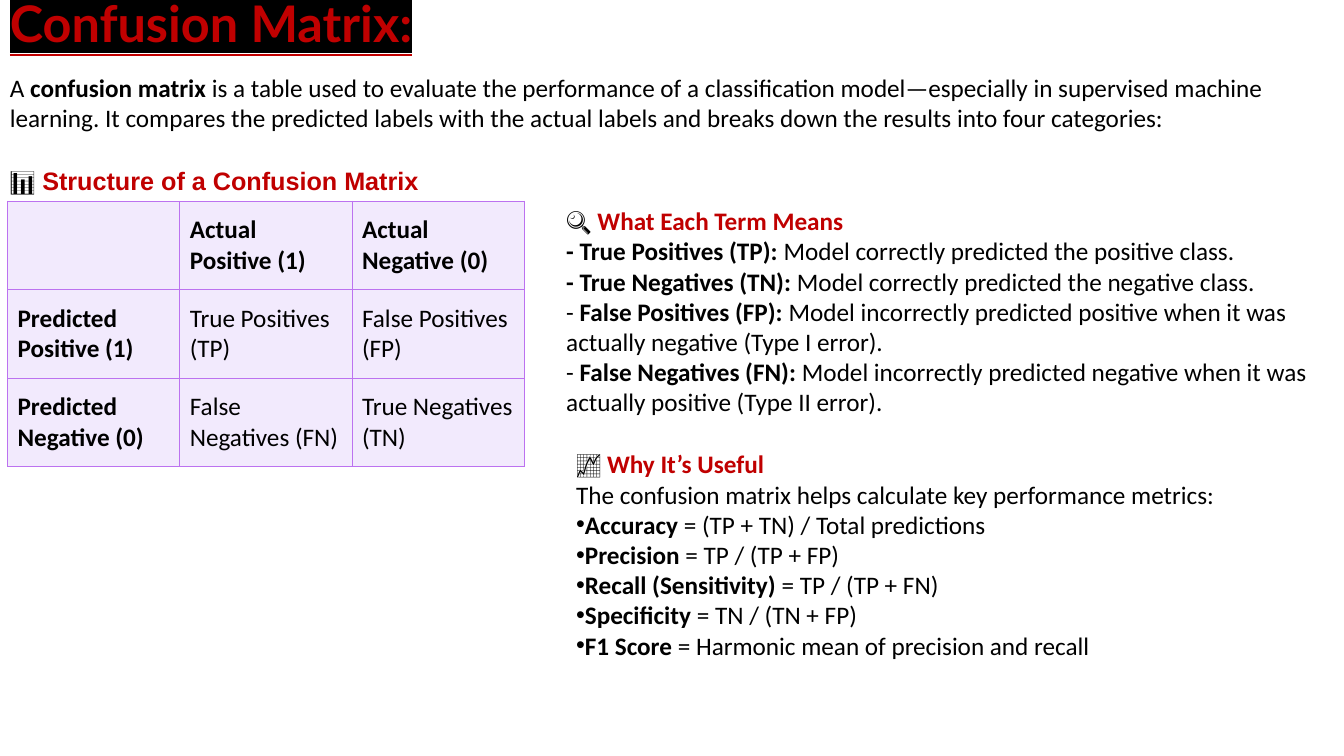
from lxml import etree
from pptx import Presentation
from pptx import util as u
from pptx.dml.color import RGBColor
from pptx.enum import text
from pptx.oxml import ns

BLACK = RGBColor(0x00, 0x00, 0x00)
RED = RGBColor(0xC0, 0x00, 0x00)
LILAC = RGBColor(0xF2, 0xEA, 0xFD)
PURPLE = RGBColor(0xBC, 0x72, 0xF0)

BODY = {"name": "Calibri", "size": u.Pt(18), "bold": False}
BOLD = {"bold": True}
HEADING = {"bold": True, "color": RED}

INTRO = [
    ("A ", {}),
    ("confusion matrix", BOLD),
    (" is a table used to evaluate the performance of a classification model—especially in "
     "supervised machine learning. It compares the predicted labels with the actual labels "
     "and breaks down the results into four categories:", {}),
]
MATRIX = [
    ["", "Actual Positive (1)", "Actual Negative (0)"],
    ["Predicted Positive (1)", "True Positives (TP)", "False Positives (FP)"],
    ["Predicted Negative (0)", "False Negatives (FN)", "True Negatives (TN)"],
]
TERMS = [
    ("True Positives (TP): ", "Model correctly predicted the positive class.", BOLD),
    ("True Negatives (TN): ", "Model correctly predicted the negative class.", BOLD),
    ("False Positives (FP): ",
     "Model incorrectly predicted positive when it was actually negative (Type I error).", {}),
    ("False Negatives (FN): ",
     "Model incorrectly predicted negative when it was actually positive (Type II error).", {}),
]
METRICS = [
    ("Accuracy", "(TP + TN) / Total predictions"),
    ("Precision", "TP / (TP + FP)"),
    ("Recall (Sensitivity)", "TP / (TP + FN)"),
    ("Specificity", "TN / (TN + FP)"),
    ("F1 Score", "Harmonic mean of precision and recall"),
]


def add_element(parent, tag, **attributes):
    return etree.SubElement(parent, ns.qn(tag), attributes)


def write_run(paragraph, words, style):
    run = paragraph.add_run()
    run.text = words
    formats = {**BODY, **style}
    run.font.color.rgb = formats.pop("color", BLACK)
    for attribute, value in formats.items():
        setattr(run.font, attribute, value)
    return run


def add_text(slide, left, top, width, height, paragraphs, wrap=True):
    """Add a text box; each paragraph is a list of (words, style) runs."""
    box = slide.shapes.add_textbox(u.Cm(left), u.Cm(top), u.Cm(width), u.Cm(height))
    frame = box.text_frame
    frame.word_wrap = wrap
    frame.auto_size = text.MSO_AUTO_SIZE.SHAPE_TO_FIT_TEXT
    for index, runs in enumerate(paragraphs):
        paragraph = frame.add_paragraph() if index else frame.paragraphs[0]
        for words, style in runs:
            write_run(paragraph, words, style)
    return frame


def add_title(slide):
    """Add the highlighted title; a tab carries its band past the last word."""
    style = {**HEADING, "name": "Lato", "size": u.Pt(36), "underline": True}
    frame = add_text(slide, 0, -0.33, 16.93, 1.8, [[("Confusion Matrix:\t", style)]])
    paragraph = frame.paragraphs[0]
    stops = add_element(paragraph._p.get_or_add_pPr(), "a:tabLst")
    add_element(stops, "a:tab", pos=str(u.Cm(11.36)), algn="l")
    properties = paragraph.runs[0]._r.get_or_add_rPr()
    highlight = add_element(properties, "a:highlight")
    add_element(highlight, "a:srgbClr", val=str(BLACK))
    properties.find(ns.qn("a:solidFill")).addnext(highlight)


def add_bullet(paragraph):
    properties = paragraph._p.get_or_add_pPr()
    add_element(properties, "a:buFont", typeface="Arial")
    add_element(properties, "a:buChar", char="•")


def outline_cell(cell):
    properties = cell._tc.get_or_add_tcPr()
    for position, side in enumerate(("a:lnL", "a:lnR", "a:lnT", "a:lnB")):
        line = add_element(properties, side, w=str(u.Pt(0.75)))
        fill = add_element(line, "a:solidFill")
        add_element(fill, "a:srgbClr", val=str(PURPLE))
        properties.insert(position, line)


def add_matrix(slide):
    column_width, row_height = u.Cm(4.34), u.Cm(2.23)
    size = len(MATRIX)
    matrix = slide.shapes.add_table(size, size, u.Cm(0.19), u.Cm(5.07),
                                    column_width * size, row_height * size).table
    for column in matrix.columns:
        column.width = column_width
    for row_index, labels in enumerate(MATRIX):
        matrix.rows[row_index].height = row_height
        for column_index, label in enumerate(labels):
            cell = matrix.cell(row_index, column_index)
            cell.vertical_anchor = text.MSO_ANCHOR.MIDDLE
            cell.fill.solid()
            cell.fill.fore_color.rgb = LILAC
            outline_cell(cell)
            if label:
                is_header = row_index == 0 or column_index == 0
                write_run(cell.text_frame.paragraphs[0], label, {"bold": is_header})


def main():
    deck = Presentation()
    deck.slide_width, deck.slide_height = u.Cm(33.87), u.Cm(19.05)
    slide = deck.slides.add_slide(deck.slide_layouts[6])

    add_title(slide)
    add_text(slide, 0, 1.7, 33.87, 1.8, [INTRO])
    add_matrix(slide)
    arial = {"name": "Arial"}
    add_text(slide, 0, 4.03, 11.13, 1.03, [[
        ("📊 ", {**BOLD, **arial}),
        ("Structure of a Confusion Matrix", {**HEADING, **arial}),
    ]], wrap=False)

    terms = [[("- ", dash), (term, BOLD), (meaning, {})] for term, meaning, dash in TERMS]
    add_text(slide, 14.02, 5.05, 19.84, 5.64,
             [[("🔍 ", BOLD), ("What Each Term Means", HEADING)]] + terms)

    metrics = [[(metric, BOLD), (f" = {formula}", {})] for metric, formula in METRICS]
    useful = add_text(slide, 14.27, 11.18, 19.58, 5.64, [
        [("📈 ", BOLD), ("Why It’s Useful", HEADING)],
        [("The confusion matrix helps calculate key performance metrics:", {})],
    ] + metrics)
    for paragraph in useful.paragraphs[-len(METRICS):]:
        add_bullet(paragraph)

    deck.save("out.pptx")


if __name__ == "__main__":
    main()
